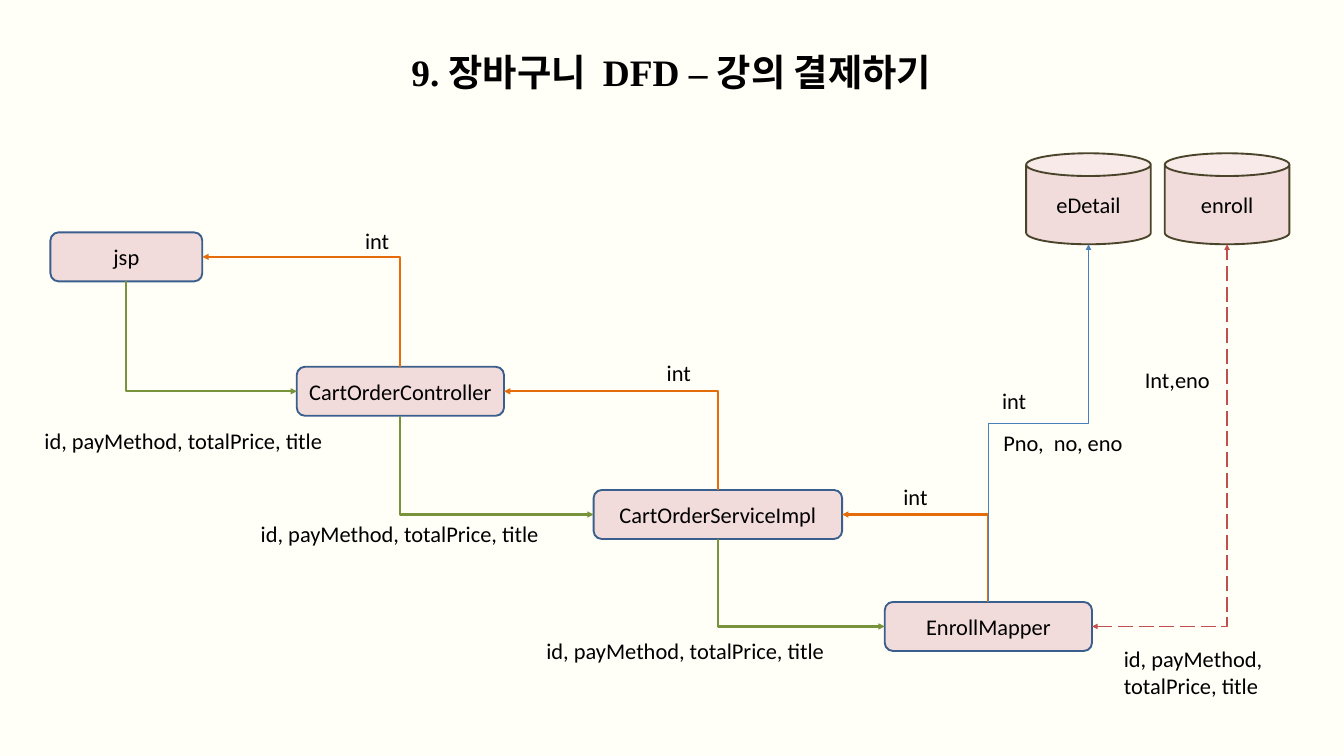
from lxml.etree import SubElement
from pptx import Presentation
from pptx.dml.color import RGBColor
from pptx.enum.dml import MSO_LINE
from pptx.enum.shapes import MSO_CONNECTOR, MSO_SHAPE
from pptx.enum.text import MSO_ANCHOR, MSO_AUTO_SIZE, PP_ALIGN
from pptx.oxml.ns import qn
from pptx.util import Emu, Pt

PX = 9525
COLORS = {
    "page": "FFFEF7", "text": "000000", "node": "F2DCDB",
    "box_line": "3A5F8C", "can_line": "4A452A", "request": "77933C",
    "reply": "E46C0A", "detail": "4B7EBC", "enroll": "C0504D",
}
TOP, LEFT, BOTTOM, RIGHT = range(4)
CAN_BOTTOM = 3  # a can counts its rim as an extra connection site
PARAMETERS = "id, payMethod, totalPrice, title"


def px(*values):
    return [Emu(value * PX) for value in values]


def color(name):
    return RGBColor.from_string(COLORS[name])


def write(shape, text, size=24, font="Calibri", bold=False,
          align=PP_ALIGN.LEFT, anchor=MSO_ANCHOR.TOP, wrap=True, grow=False):
    frame = shape.text_frame
    frame.text = text
    frame.word_wrap = wrap
    frame.vertical_anchor = anchor
    frame.auto_size = MSO_AUTO_SIZE.SHAPE_TO_FIT_TEXT if grow else MSO_AUTO_SIZE.NONE
    for para in frame.paragraphs:
        para.alignment = align
        for span in para.runs:
            span.font.size = Pt(size)
            span.font.name = font
            span.font.bold = bold
            span.font.color.rgb = color("text")


def add_title(page, text, bounds):
    title = page.shapes.title
    title.left, title.top, title.width, title.height = px(*bounds)
    write(title, text, size=40, font="Times New Roman", bold=True,
          align=PP_ALIGN.CENTER, grow=True)


def add_node(page, text, bounds, kind=MSO_SHAPE.ROUNDED_RECTANGLE, line="box_line"):
    node = page.shapes.add_shape(kind, *px(*bounds))
    node.shadow.inherit = False
    node.fill.solid()
    node.fill.fore_color.rgb = color("node")
    node.line.color.rgb = color(line)
    node.line.width = Pt(2)
    write(node, text, align=PP_ALIGN.CENTER, anchor=MSO_ANCHOR.MIDDLE)
    return node


def add_store(page, text, left):
    return add_node(page, text, (left, 219, 178, 130), MSO_SHAPE.CAN, "can_line")


def add_label(page, text, bounds, wrap=False):
    box = page.shapes.add_textbox(*px(*bounds))
    write(box, text, wrap=wrap, grow=True)


def add_elbow(page, start, start_site, finish, finish_site, line, width, arrows,
              corners=1, dash=None):
    """Join two nodes; one corner runs sideways first, then up or down."""
    elbow = page.shapes.add_connector(MSO_CONNECTOR.ELBOW, 0, 0, 0, 0)
    elbow.begin_connect(start, start_site)
    elbow.end_connect(finish, finish_site)
    if finish.auto_shape_type == MSO_SHAPE.CAN:
        elbow.end_x = finish.left + finish.width // 2
        elbow.end_y = finish.top + finish.height
    properties = elbow.line._get_or_add_ln().getparent()
    if corners == 1:
        properties.find(qn("a:prstGeom")).set("prst", "bentConnector2")
    else:
        turn_upward(elbow, properties)
    elbow.line.color.rgb = color(line)
    elbow.line.width = Pt(width)
    if dash:
        elbow.line.dash_style = dash
    for end in arrows:
        SubElement(elbow.line._get_or_add_ln(), qn(f"a:{end}"), type="triangle")
    SubElement(properties, qn("a:effectLst"))
    return elbow


def turn_upward(elbow, properties):
    """Turn a rising two-corner elbow so that it leaves upward."""
    across = elbow.end_x - elbow.begin_x
    rise = elbow.begin_y - elbow.end_y
    middle_x = (elbow.begin_x + elbow.end_x) // 2
    middle_y = (elbow.begin_y + elbow.end_y) // 2
    elbow.left, elbow.top = Emu(middle_x - rise // 2), Emu(middle_y - across // 2)
    elbow.width, elbow.height = Emu(rise), Emu(across)
    frame = properties.find(qn("a:xfrm"))
    for flip in ("flipH", "flipV"):
        frame.attrib.pop(flip, None)
    frame.set("rot", str(270 * 60000))


def main():
    deck = Presentation()
    deck.slide_width, deck.slide_height = px(1920, 1080)
    page = deck.slides.add_slide(deck.slide_layouts[5])
    page.background.fill.solid()
    page.background.fill.fore_color.rgb = color("page")
    add_title(page, "9. 장바구니  DFD – 강의 결제하기", (552, 65, 814, 74))

    # Processing steps and data stores
    steps = [add_node(page, text, (left, top, width, 70)) for text, left, top, width in (
        ("jsp", 72, 332, 217),
        ("CartOrderController", 424, 524, 296),
        ("CartOrderServiceImpl", 848, 700, 355),
        ("EnrollMapper", 1264, 860, 296),
    )]
    detail = add_store(page, "eDetail", 1466)
    enroll = add_store(page, "enroll", 1664)

    # Requests go down the steps, replies come back up
    for upper, lower in zip(steps, steps[1:]):
        add_elbow(page, lower, LEFT, upper, BOTTOM, "request", 2.25, ["headEnd"])
        add_elbow(page, upper, RIGHT, lower, TOP, "reply", 2.25, ["headEnd"])

    # Links from the mapper to the stores
    mapper = steps[-1]
    add_elbow(page, mapper, TOP, detail, CAN_BOTTOM, "detail", 0.75, ["tailEnd"], corners=2)
    add_elbow(page, mapper, RIGHT, enroll, CAN_BOTTOM, "enroll", 2,
              ["headEnd", "tailEnd"], dash=MSO_LINE.LONG_DASH)

    # Data passed along the arrows
    for left, top, width in ((54, 606, 420), (363, 738, 435), (771, 906, 435)):
        add_label(page, PARAMETERS, (left, top, width, 48))
    for left, top in ((512, 320), (943, 508), (1281, 686), (1422, 549)):
        add_label(page, "int", (left, top, 55, 48))
    add_label(page, "Int,eno", (1626, 518, 152, 48), wrap=True)
    add_label(page, "Pno,  no, eno", (1424, 609, 191, 48))
    add_label(page, "id, payMethod,\ntotalPrice, title", (1596, 917, 228, 87))

    deck.save("out.pptx")


if __name__ == "__main__":
    main()
